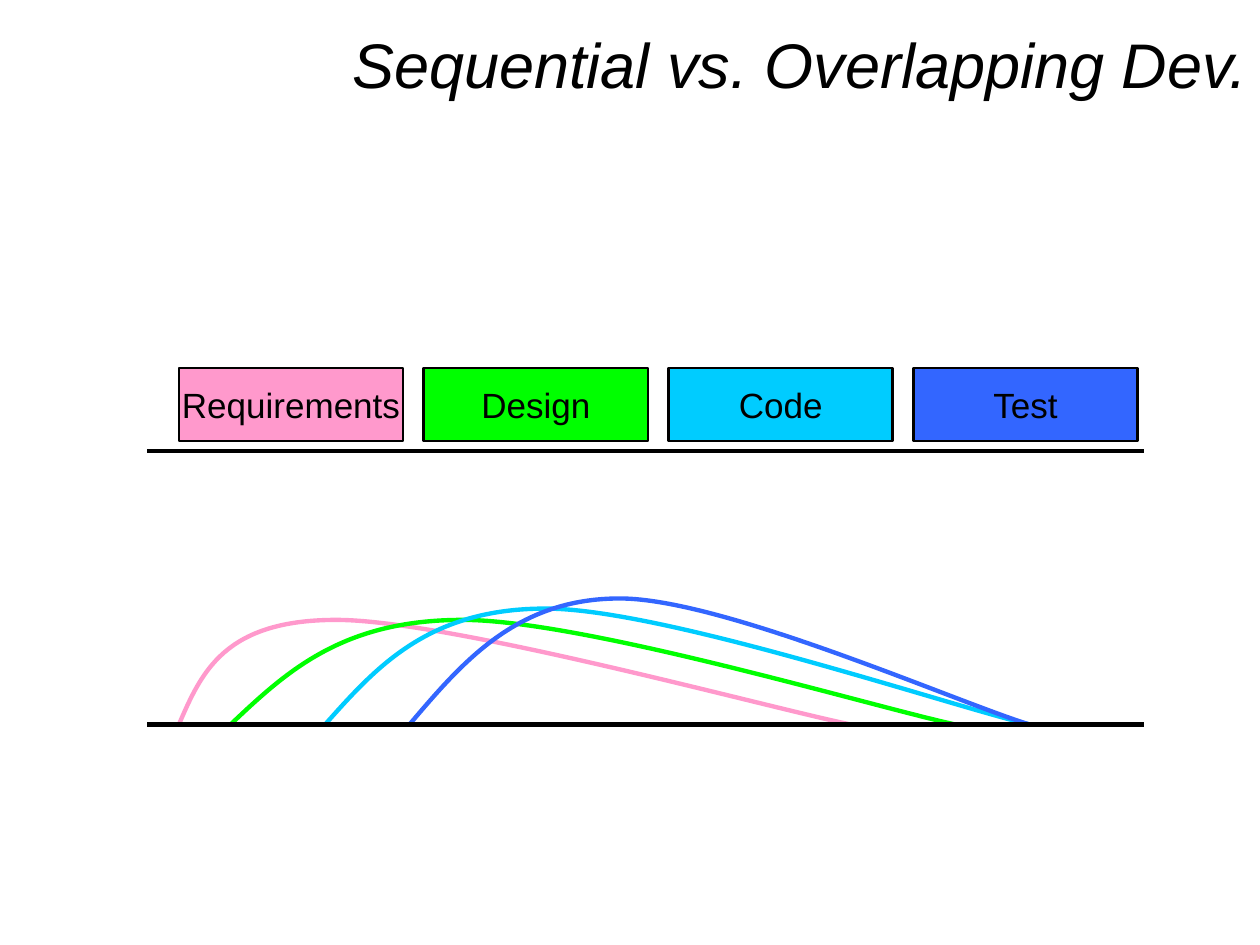
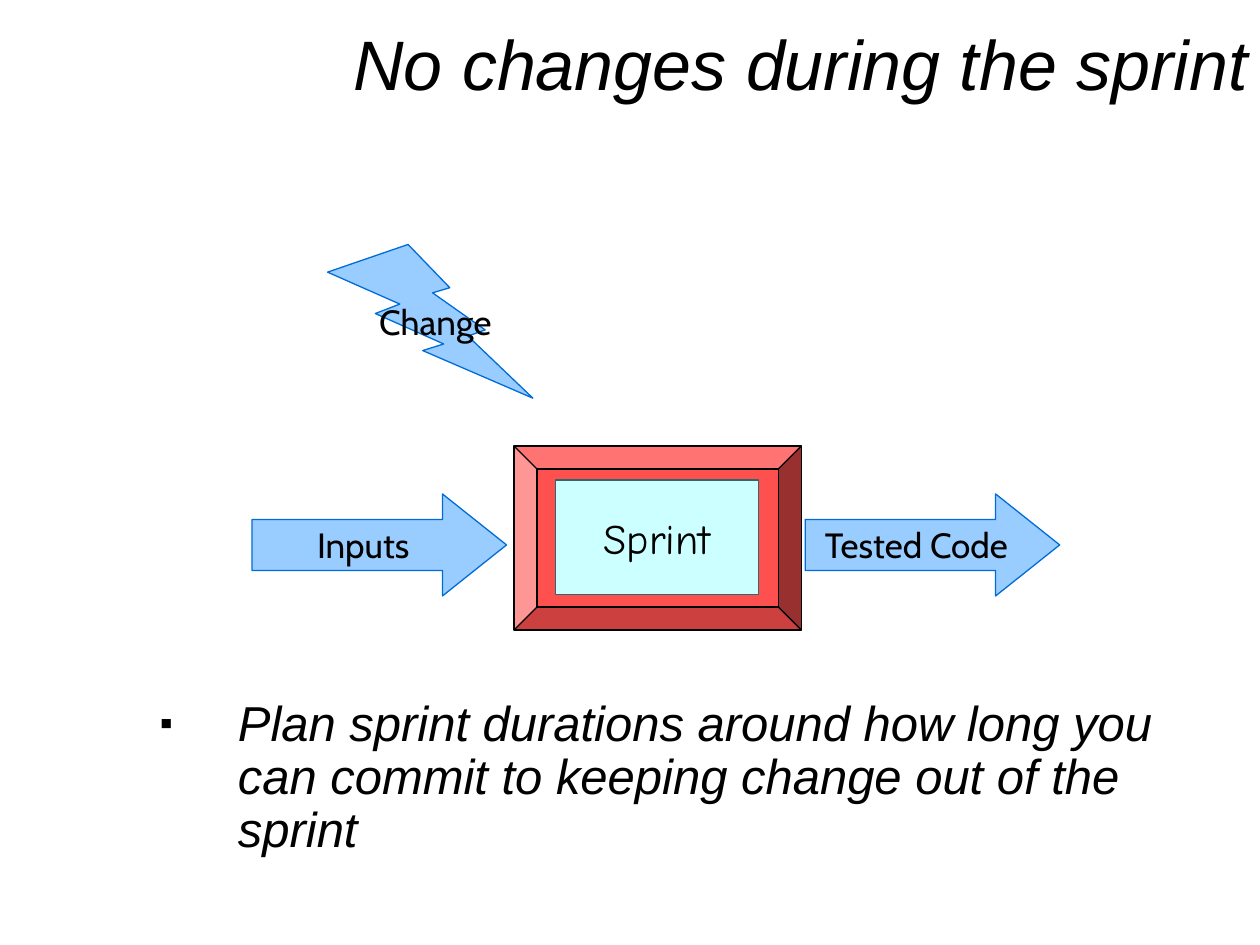
from dataclasses import dataclass
from typing import Any

from lxml.etree import SubElement
from pptx import Presentation
from pptx.dml.color import RGBColor
from pptx.enum.shapes import MSO_CONNECTOR, MSO_SHAPE as Shape
from pptx.enum.text import MSO_ANCHOR as Anchor, MSO_AUTO_SIZE as AutoSize, PP_ALIGN as Align
from pptx.oxml.ns import qn
from pptx.util import Inches, Pt

BLACK = RGBColor(0x00, 0x00, 0x00)
PINK = RGBColor(0xFF, 0x99, 0xCC)
GREEN = RGBColor(0x00, 0xFF, 0x00)
CYAN = RGBColor(0x00, 0xCC, 0xFF)
BLUE = RGBColor(0x33, 0x66, 0xFF)
RED = RGBColor(0xFF, 0x50, 0x50)
PALE_CYAN = RGBColor(0xCC, 0xFF, 0xFF)
TEAL = RGBColor(0x33, 0x66, 0x66)
SKY = RGBColor(0x99, 0xCC, 0xFF)
SKY_EDGE = RGBColor(0x00, 0x6C, 0xD8)

HEADING = {"name": "Arial", "italic": True}
PHASE_FONT = {"name": "Arial", "size": Pt(20)}
FLOW_FONT = {"name": "Cabin", "size": Pt(20)}
SPRINT_FONT = {"name": "Comic Neue", "size": Pt(24)}

PHASES = [("Requirements", PINK), ("Design", GREEN), ("Code", CYAN), ("Test", BLUE)]
PHASE_LEFT, PHASE_STEP = 1.42, 1.943
AXIS_LEFT, AXIS_RIGHT = 1.17, 9.08
SEQUENTIAL_Y, OVERLAP_Y = 3.58, 5.75


@dataclass
class Block:
    kind: Shape
    left: float
    top: float
    width: float
    height: float
    fill: RGBColor
    edge: RGBColor
    edge_pt: float = 0.75
    text: str = ""
    font: dict[str, Any] | None = None
    adjust: tuple[float, ...] = ()


@dataclass
class Effort:
    color: RGBColor
    start: float
    rise: float
    peak: float
    crest: float
    tail: tuple[float, float]
    end: float

    def points(self) -> list[tuple[float, float]]:
        approach = self.start + 2 * self.rise
        return [
            (self.start, OVERLAP_Y),
            (self.start + self.rise, (OVERLAP_Y + self.crest) / 2),
            (approach, self.crest),
            (self.peak, self.crest),
            (2 * self.peak - approach, self.crest),
            self.tail,
            (self.end, OVERLAP_Y),
        ]


EFFORTS = [
    Effort(PINK, 1.42, 0.18, 2.67, 4.92, (6.07, 5.61), 6.75),
    Effort(GREEN, 1.83, 0.44, 3.67, 4.92, (6.93, 5.61), 7.58),
    Effort(CYAN, 2.58, 0.41, 4.33, 4.83, (7.53, 5.6), 8.17),
    Effort(BLUE, 3.25, 0.425, 4.92, 4.75, (7.61, 5.58), 8.17),
]

ARROW = {"kind": Shape.RIGHT_ARROW, "top": 3.92, "width": 2.02, "height": 0.81,
         "fill": SKY, "edge": SKY_EDGE, "font": FLOW_FONT, "adjust": (0.5, 0.628)}
SPRINT_BLOCKS = [
    Block(Shape.BEVEL, 4.08, 3.54, 2.28, 1.46, RED, BLACK, adjust=(0.125,)),
    Block(Shape.RECTANGLE, 4.41, 3.81, 1.61, 0.91, PALE_CYAN, TEAL,
          text="Sprint", font=SPRINT_FONT),
    Block(left=2, text="Inputs", **ARROW),
    Block(left=6.39, text="Tested Code", **ARROW),
    Block(Shape.LIGHTNING_BOLT, 2.6, 1.94, 1.63, 1.22, SKY, SKY_EDGE,
          text="Change", font=FLOW_FONT),
]


def write(p: Any, text: str, fmt: dict[str, Any]) -> None:
    r = p.add_run()
    r.text = text
    r.font.color.rgb = BLACK
    for key, value in fmt.items():
        setattr(r.font, key, value)


def set_line(sp: Any, color: RGBColor, width: float) -> None:
    sp.line.color.rgb = color
    sp.line.width = Pt(width)


def add_titled_slide(prs: Any, text: str, size: int) -> Any:
    s = prs.slides.add_slide(prs.slide_layouts[5])
    title = s.shapes.title
    title.left, title.top, title.width, title.height = map(Inches, (2.17, 0, 7.83, 1.08))
    tf = title.text_frame
    tf.auto_size = AutoSize.NONE
    tf.vertical_anchor = Anchor.MIDDLE
    p = tf.paragraphs[0]
    p.alignment, p.line_spacing = Align.RIGHT, 0.9
    write(p, text, {**HEADING, "size": Pt(size)})
    return s


def add_block(shapes: Any, b: Block) -> None:
    sp = shapes.add_shape(b.kind, *map(Inches, (b.left, b.top, b.width, b.height)))
    sp.shadow.inherit = False
    sp.fill.solid()
    sp.fill.fore_color.rgb = b.fill
    set_line(sp, b.edge, b.edge_pt)
    for i, value in enumerate(b.adjust):
        sp.adjustments[i] = value
    if b.text:
        tf = sp.text_frame
        tf.word_wrap = False
        tf.vertical_anchor = Anchor.MIDDLE
        p = tf.paragraphs[0]
        p.alignment = Align.CENTER
        write(p, b.text, b.font)


def add_curve(shapes: Any, effort: Effort) -> None:
    start, *rest = [(Inches(x), Inches(y)) for x, y in effort.points()]
    builder = shapes.build_freeform(*start)
    builder.add_line_segments(rest, close=False)
    sp = builder.convert_to_shape()
    sp.shadow.inherit = False
    sp.fill.background()
    set_line(sp, effort.color, 2.5)
    segments = list(sp._element.iter(qn("a:lnTo")))
    outline = segments[0].getparent()
    for i in range(0, len(segments), 3):
        bezier = SubElement(outline, qn("a:cubicBezTo"))
        for segment in segments[i:i + 3]:
            bezier.append(segment[0])
            outline.remove(segment)


def add_axis(shapes: Any, y: float) -> None:
    ends = map(Inches, (AXIS_LEFT, y, AXIS_RIGHT, y))
    line = shapes.add_connector(MSO_CONNECTOR.STRAIGHT, *ends)
    set_line(line, BLACK, 2.5)
    SubElement(line._element.spPr, qn("a:effectLst"))


def add_bullet(shapes: Any, text: str) -> None:
    tf = shapes.add_textbox(*map(Inches, (1.17, 5.5, 8.5, 1.37))).text_frame
    tf.word_wrap = True
    p = tf.paragraphs[0]
    p.line_spacing = 0.9
    write(p, text, {**HEADING, "size": Pt(28)})
    pPr = p._p.get_or_add_pPr()
    pPr.set("marL", str(Inches(0.62)))
    pPr.set("indent", str(-Inches(0.62)))
    SubElement(SubElement(pPr, qn("a:buClr")), qn("a:srgbClr"), val=str(BLACK))
    SubElement(pPr, qn("a:buSzPct"), val="75000")
    SubElement(pPr, qn("a:buFont"), typeface="Arial")
    SubElement(pPr, qn("a:buChar"), char="▪")


def build_development(prs: Any) -> None:
    s = add_titled_slide(prs, "Sequential vs. Overlapping Dev.", 36)
    for effort in EFFORTS:
        add_curve(s.shapes, effort)
    for y in (OVERLAP_Y, SEQUENTIAL_Y):
        add_axis(s.shapes, y)
    for i, (name, color) in enumerate(PHASES):
        add_block(s.shapes, Block(Shape.RECTANGLE, PHASE_LEFT + i * PHASE_STEP, 2.92, 1.78, 0.58,
                                  color, BLACK, 1.5, name, PHASE_FONT))


def build_sprint(prs: Any) -> None:
    s = add_titled_slide(prs, "No changes during the sprint", 40)
    group = s.shapes.add_group_shape()
    for block in SPRINT_BLOCKS:
        add_block(group.shapes, block)
    add_bullet(s.shapes, "Plan sprint durations around how long you can commit to "
                         "keeping change out of the sprint")


def main() -> None:
    prs = Presentation()
    prs.slide_width, prs.slide_height = Inches(10), Inches(7.5)
    build_development(prs)
    build_sprint(prs)
    prs.save("out.pptx")


main()
